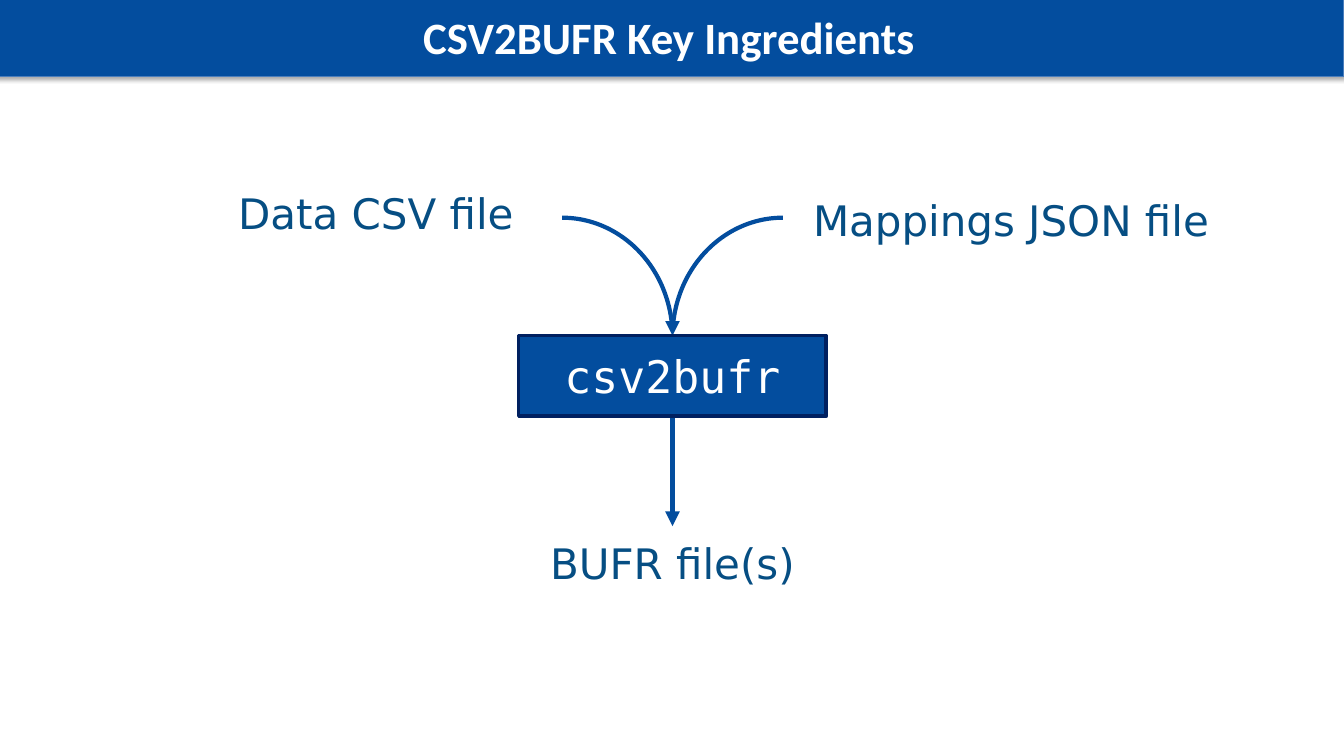
from lxml import etree
from pptx import Presentation, util as u
from pptx.dml.color import RGBColor
from pptx.enum import shapes as s, text as t
from pptx.oxml import parse_xml
from pptx.oxml.ns import nsdecls, qn

BLUE = RGBColor(0x03, 0x4D, 0x9E)
EDGE = RGBColor(0x4B, 0x7E, 0xBC)
NAVY = RGBColor(0x00, 0x20, 0x60)
TEAL = RGBColor(0x06, 0x4E, 0x83)
WHITE = RGBColor(0xFF, 0xFF, 0xFF)
WIDE, HIGH = u.Inches(13.33), u.Inches(7.5)
COL, ROW = WIDE / 133.3, HIGH / 75
HEAD = (-0.6, -0.4, 133.9, 8)
FLOW = (18, 19.7, 106, 38)


def place(box, x, y, w=0, h=0):
    """Turn columns and rows inside a box into slide lengths."""
    return [round(n) for n in ((box[0] + x) * COL, (box[1] + y) * ROW, w * COL, h * ROW)]


def style(item, form):
    """Set each format value on an item."""
    for key, val in form.items():
        setattr(item, key, val)


def write(shape, words, font, color, frame, para):
    """Put one styled, centred paragraph in a shape."""
    style(shape.text_frame, {"word_wrap": True, **frame})
    line = shape.text_frame.paragraphs[0]
    style(line, {"alignment": t.PP_ALIGN.CENTER, **para})
    run = line.add_run()
    run.text = words
    style(run.font, font)
    run.font.color.rgb = color


def stroke(item, color, width):
    """Set the line of a shape or connector."""
    item.line.color.rgb = color
    item.line.width = u.Pt(width)


def panel(slide, spot, words, font, edge, width):
    """Add a blue rectangle with white text."""
    shape = slide.shapes.add_shape(s.MSO_SHAPE.RECTANGLE, *spot)
    shape.shadow.inherit = False
    shape.fill.solid()
    shape.fill.fore_color.rgb = BLUE
    stroke(shape, edge, width)
    write(shape, words, font, WHITE, {"vertical_anchor": t.MSO_ANCHOR.MIDDLE}, {})
    return shape


def label(slide, spot, words):
    """Add a file label without margins."""
    shape = slide.shapes.add_textbox(*spot)
    sides = ("left", "top", "right", "bottom")
    write(shape, words, {"name": "DejaVu Sans", "size": u.Pt(30)}, TEAL,
          {f"margin_{side}": 0 for side in sides}, {"line_spacing": u.Pt(28)})


def curve(slide, spot, flip):
    """Add a quarter arc, mirrored on request."""
    arc = slide.shapes.add_shape(s.MSO_SHAPE.ARC, *spot)
    arc.shadow.inherit = False
    arc.fill.background()
    stroke(arc, BLUE, 3)
    arc.adjustments[0] = 162
    arc.adjustments[1] = 212.52
    if flip:
        arc._element.spPr.find(qn("a:xfrm")).set("flipH", "1")


def arrow(slide, start, end):
    """Add a straight arrow between two points."""
    link = slide.shapes.add_connector(s.MSO_CONNECTOR.STRAIGHT, *start[:2], *end[:2])
    stroke(link, BLUE, 3.5)
    etree.SubElement(link.line._get_or_add_ln(), qn("a:tailEnd"), type="triangle")
    etree.SubElement(link._element.spPr, qn("a:effectLst"))
    return link


def header(slide, box):
    """Draw the title band with its soft shadow."""
    font = {"name": "Calibri", "size": u.Pt(32), "bold": True}
    band = panel(slide, place(box, 0, 0, *box[2:]), "CSV2BUFR Key Ingredients", font, EDGE, 0.75)
    band._element.spPr.find(qn("a:effectLst")).append(parse_xml(
        f'<a:outerShdw {nsdecls("a")} blurRad="39370" dist="22860" dir="5400000" rotWithShape="0">'
        '<a:srgbClr val="000000"><a:alpha val="35000"/></a:srgbClr></a:outerShdw>'))


def flow(slide, box):
    """Draw the two inputs, the tool and its output."""
    mid, top, tall, wide, arc = 48.7, 13.6, 8, 30.5, 21.9
    label(slide, place(box, 58.8, 0.7, 47, 2.3), "Mappings JSON file")
    label(slide, place(box, 0, 0, 38.6, 3.7), "Data CSV file")
    label(slide, place(box, 29.4, 34.7, 38.6, 3.2), "BUFR file(s)")
    for side in (0, 1):
        curve(slide, place(box, mid - arc + side * arc, 1.9, arc, 23.6), side)
    out = arrow(slide, place(box, mid, top + tall), place(box, mid, 32.5))
    into = arrow(slide, place(box, mid, 11.7), place(box, mid, top))
    font = {"name": "DejaVu Sans Mono", "size": u.Pt(32)}
    tool = panel(slide, place(box, mid - wide / 2, top, wide, tall), "csv2bufr", font, NAVY, 2.5)
    out.begin_connect(tool, 2)
    into.end_connect(tool, 0)


def main():
    """Build and save the slide."""
    deck = Presentation()
    style(deck, {"slide_width": WIDE, "slide_height": HIGH})
    slide = deck.slides.add_slide(deck.slide_layouts[6])
    header(slide, HEAD)
    flow(slide, FLOW)
    deck.save("out.pptx")


if __name__ == "__main__":
    main()
